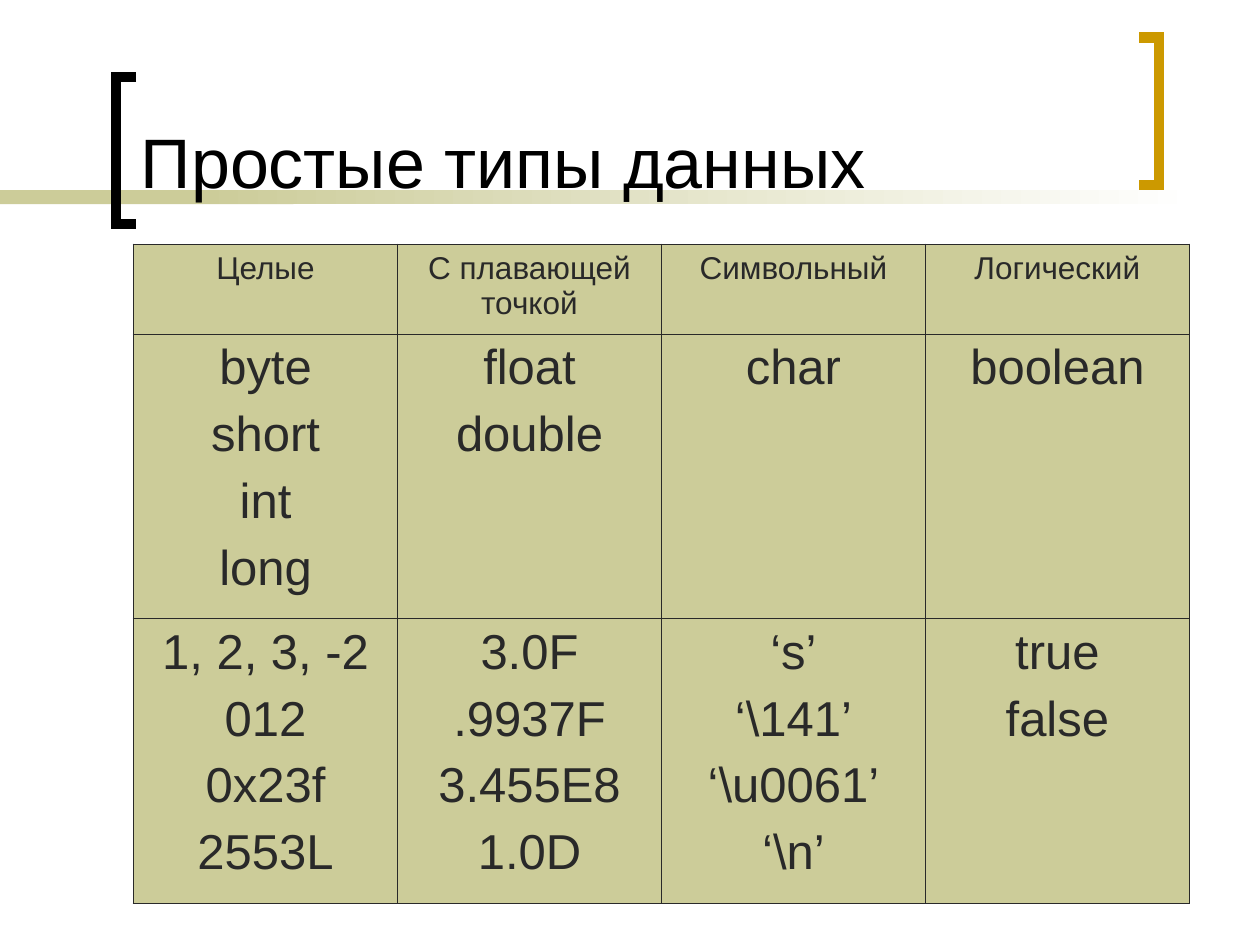
"""Build a slide with a table of simple data types."""
from lxml.etree import SubElement
from pptx import Presentation
from pptx.dml.color import RGBColor
from pptx.enum.shapes import MSO_SHAPE
from pptx.enum.text import MSO_ANCHOR, PP_ALIGN
from pptx.oxml import parse_xml
from pptx.oxml.ns import nsdecls, qn
from pptx.util import Inches, Pt

COLORS = {
    "black": "000000",
    "text": "292929",
    "olive": "CCCC99",
    "gold": "CC9900",
    "white": "FFFFFF",
}
HEADERS = ["Целые", "С плавающей точкой", "Символьный", "Логический"]
TYPES = [["byte", "short", "int", "long"], ["float", "double"], ["char"], ["boolean"]]
LITERALS = [
    ["1, 2, 3, -2", "012", "0x23f", "2553L"],
    ["3.0F", ".9937F", "3.455E8", "1.0D"],
    ["‘s’", r"‘\141’", r"‘\u0061’", r"‘\n’"],
    ["true", "false"],
]
ROWS = [[[header] for header in HEADERS], TYPES, LITERALS]
ROW_HEIGHTS = [0.71, 2.26, 2.26]
TABLE_WIDTH = 8.38
THIN, THICK = 0.45, 1.08


def write_lines(text_frame, lines, size, color, align=PP_ALIGN.LEFT, space_before=0):
    text_frame.word_wrap = True
    for index, line in enumerate(lines):
        paragraph = text_frame.add_paragraph() if index else text_frame.paragraphs[0]
        paragraph.alignment = align
        paragraph.space_before = Pt(space_before)
        run = paragraph.add_run()
        run.text = line
        run.font.name = "Arial"
        run.font.size = Pt(size)
        run.font.color.rgb = RGBColor.from_string(COLORS[color])


presentation = Presentation()
presentation.slide_width = Inches(10)
presentation.slide_height = Inches(7.5)
slide = presentation.slides.add_slide(presentation.slide_layouts[6])

for left, width, faded in [(0, 2.33, False), (1.58, 7.92, True)]:
    band = slide.shapes.add_shape(
        MSO_SHAPE.RECTANGLE, Inches(left), Inches(1.51), Inches(width), Inches(0.11)
    )
    band.shadow.inherit = False
    band.line.fill.background()
    if faded:
        band.fill.gradient()
        band.fill.gradient_angle = 0
        for stop, color in zip(band.fill.gradient_stops, ["olive", "white"]):
            stop.color.rgb = RGBColor.from_string(COLORS[color])
    else:
        band.fill.solid()
        band.fill.fore_color.rgb = RGBColor.from_string(COLORS["olive"])

for tip, spine, top, color in [(1.08, 0.92, 0.61, "black"), (9.04, 9.2, 0.3, "gold")]:
    bottom = top + 1.17
    corners = [(spine, top), (spine, bottom), (tip, bottom)]
    builder = slide.shapes.build_freeform(Inches(tip), Inches(top))
    builder.add_line_segments([(Inches(x), Inches(y)) for x, y in corners], close=False)
    bracket = builder.convert_to_shape()
    bracket.shadow.inherit = False
    bracket.fill.background()
    bracket.line.width = Pt(6)
    bracket.line.color.rgb = RGBColor.from_string(COLORS[color])
    SubElement(bracket.line._get_or_add_ln(), qn("a:miter"), lim="800000")

title = slide.shapes.add_textbox(Inches(1.02), Inches(0.11), Inches(7.83), Inches(1.55))
title.text_frame.vertical_anchor = MSO_ANCHOR.BOTTOM
write_lines(title.text_frame, ["Простые типы данных"], 40, "black")

row_count, column_count = len(ROWS), len(HEADERS)
table = slide.shapes.add_table(
    row_count, column_count, Inches(1.06), Inches(1.94),
    Inches(TABLE_WIDTH), Inches(sum(ROW_HEIGHTS)),
).table

for row_index, cells in enumerate(ROWS):
    table.rows[row_index].height = Inches(ROW_HEIGHTS[row_index])
    size, space_before = (28, 7) if row_index else (18, 4.5)
    for column_index, lines in enumerate(cells):
        cell = table.cell(row_index, column_index)
        write_lines(cell.text_frame, lines, size, "text", PP_ALIGN.CENTER, space_before)
        cell.fill.solid()
        cell.fill.fore_color.rgb = RGBColor.from_string(COLORS["olive"])
        outer_edges = {
            "L": column_index == 0,
            "R": column_index == column_count - 1,
            "T": row_index == 0,
            "B": row_index == row_count - 1,
        }
        properties = cell._tc.get_or_add_tcPr()
        for position, (side, is_outer) in enumerate(outer_edges.items()):
            border = parse_xml(
                f'<a:ln{side} {nsdecls("a")} w="{Pt(THICK if is_outer else THIN)}">'
                f'<a:solidFill><a:srgbClr val="{COLORS["text"]}"/></a:solidFill></a:ln{side}>'
            )
            properties.insert(position, border)

presentation.save("out.pptx")
